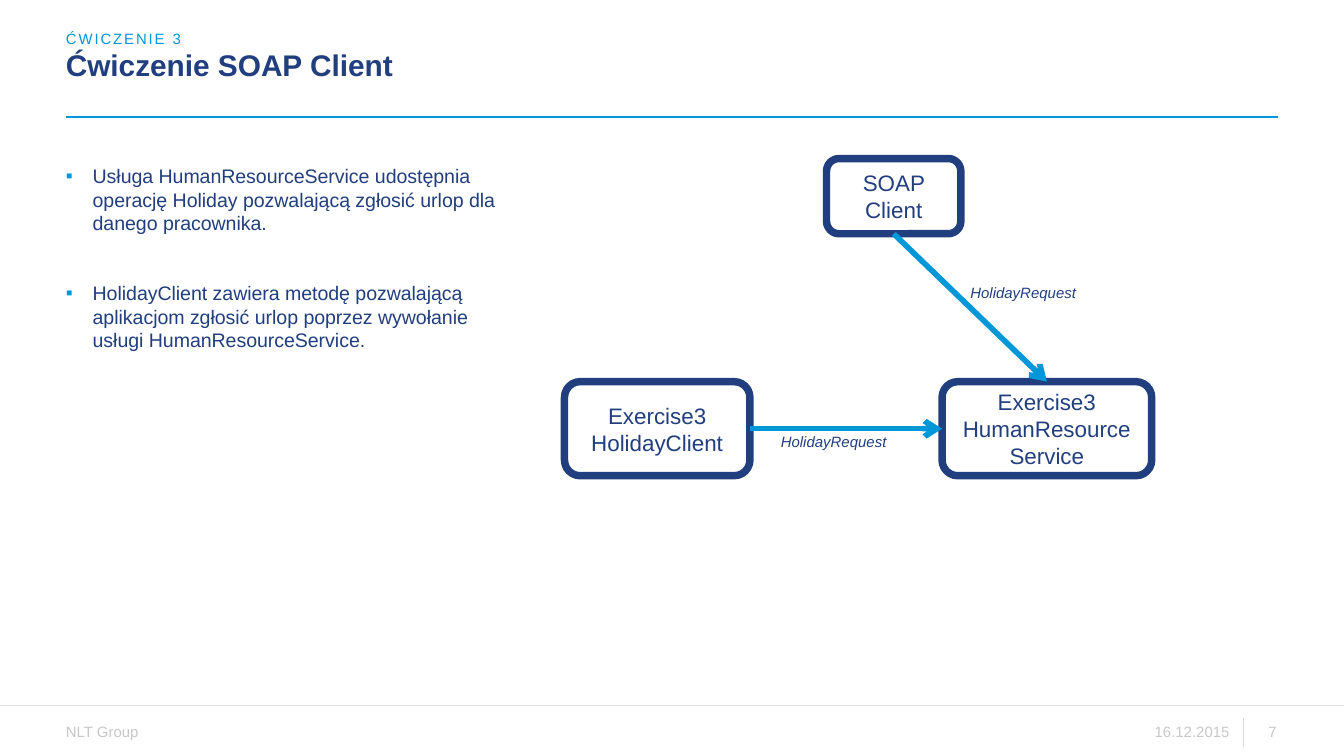
"""Build the SOAP client exercise slide."""
from dataclasses import dataclass
from typing import Any, Optional

import lxml.etree
import pptx
import pptx.dml.color
import pptx.enum.shapes
import pptx.enum.text
import pptx.oxml.ns
import pptx.util

Inches = pptx.util.Inches
Pt = pptx.util.Pt
ALIGN = pptx.enum.text.PP_ALIGN
ANCHOR = pptx.enum.text.MSO_ANCHOR
qn = pptx.oxml.ns.qn


@dataclass(frozen=True)
class Theme:
    """Colours and type sizes."""
    navy: str = "213E7F"
    blue: str = "0097D9"
    rule: str = "DCDCDC"
    muted: str = "C8C8C8"
    white: str = "FFFFFF"
    font: str = "Arial"
    title: float = 16
    node: float = 12
    body: float = 10.5
    small: float = 8


THEME = Theme()


@dataclass(frozen=True)
class Label:
    """A single-line text box."""
    text: str
    left: float
    top: float
    width: float
    height: float
    color: str
    size: float = THEME.small
    bold: bool = False
    italic: bool = False
    align: Any = ALIGN.LEFT
    anchor: Any = ANCHOR.TOP
    wrap: bool = True
    leading: Optional[float] = None
    tracking: Optional[int] = None


@dataclass(frozen=True)
class Node:
    """A rounded box in the diagram."""
    lines: tuple
    left: float
    top: float
    width: float
    height: float


@dataclass(frozen=True)
class Rule:
    """A straight line."""
    start: tuple
    end: tuple
    color: str
    weight: float = 0.75


@dataclass(frozen=True)
class Link:
    """An arrow between two nodes and their connection sites."""
    source: str
    source_site: int
    target: str
    target_site: int


MARGIN, WIDE = 0.49, 7.32
FOOT = dict(top=5.38, height=0.13, color=THEME.muted, anchor=ANCHOR.MIDDLE, wrap=False)
REQUEST = dict(text="HolidayRequest", width=0.84, height=0.13, color=THEME.navy, italic=True)

RULES = (
    Rule((MARGIN, 0.87), (9.51, 0.87), THEME.blue),
    Rule((-0.03, 5.25), (10.03, 5.25), THEME.rule),
    Rule((9.25, 5.56), (9.25, 5.34), THEME.rule),
)
LABELS = (
    Label("NLT Group", MARGIN, width=0.57, **FOOT),
    Label("16.12.2015", 8.58, width=0.57, align=ALIGN.RIGHT, **FOOT),
    Label("7", 9.28, width=0.22, align=ALIGN.RIGHT, **FOOT),
    Label("Ćwiczenie SOAP Client", MARGIN, 0.38, WIDE, 0.24, THEME.navy,
          THEME.title, bold=True, leading=17),
    Label("ĆWICZENIE 3", MARGIN, 0.22, WIDE, 0.13, THEME.blue,
          anchor=ANCHOR.BOTTOM, tracking=100),
    Label(left=5.81, top=3.22, **REQUEST),
    Label(left=7.22, top=2.11, **REQUEST),
)
NODES = {
    "service": Node(("Exercise3", "HumanResourceService"), 7.01, 2.84, 1.56, 0.7),
    "holiday": Node(("Exercise3", "HolidayClient"), 4.2, 2.84, 1.38, 0.7),
    "soap": Node(("SOAP Client",), 6.15, 1.18, 1, 0.56),
}
LINKS = (Link("holiday", 3, "service", 1), Link("soap", 2, "service", 0))
BULLETS = (
    "Usługa HumanResourceService udostępnia operację Holiday pozwalającą "
    "zgłosić urlop dla danego pracownika.",
    "HolidayClient zawiera metodę pozwalającą aplikacjom zgłosić urlop "
    "poprzez wywołanie usługi HumanResourceService.",
)


def rgb(color: str) -> Any:
    """Turn a hex string into a colour."""
    return pptx.dml.color.RGBColor.from_string(color)


def apply(obj: Any, values: dict) -> None:
    """Set each named attribute on an object."""
    for name, value in values.items():
        setattr(obj, name, value)


def set_frame(tf: Any, inset: float, anchor: Any, wrap: bool = True) -> None:
    """Set the insets, anchor and wrapping of a text frame."""
    sides = ("margin_left", "margin_top", "margin_right", "margin_bottom")
    apply(tf, {side: Inches(inset) for side in sides})
    apply(tf, {"vertical_anchor": anchor, "word_wrap": wrap})


def add_run(p: Any, text: str, size: float, color: str, **formats: Any) -> Any:
    """Add a formatted run to a paragraph."""
    r = p.add_run()
    r.text = text
    apply(r.font, {"name": THEME.font, "size": Pt(size), **formats})
    r.font.color.rgb = rgb(color)
    return r


def paragraph(tf: Any, index: int) -> Any:
    """Return the first paragraph or append another one."""
    return tf.add_paragraph() if index else tf.paragraphs[0]


def add_label(s: Any, label: Label) -> None:
    """Draw a single-line text box."""
    sp = s.shapes.add_textbox(*map(Inches, (label.left, label.top, label.width, label.height)))
    set_frame(sp.text_frame, 0, label.anchor, label.wrap)
    sp.text_frame.auto_size = pptx.enum.text.MSO_AUTO_SIZE.SHAPE_TO_FIT_TEXT
    p = sp.text_frame.paragraphs[0]
    p.alignment = label.align
    if label.leading:
        p.line_spacing = Pt(label.leading)
    r = add_run(p, label.text, label.size, label.color, bold=label.bold, italic=label.italic)
    if label.tracking:
        r.font._element.set("spc", str(label.tracking))


def add_node(s: Any, node: Node) -> Any:
    """Draw a rounded box with centred lines."""
    sp = s.shapes.add_shape(pptx.enum.shapes.MSO_SHAPE.ROUNDED_RECTANGLE,
                            *map(Inches, (node.left, node.top, node.width, node.height)))
    sp.shadow.inherit = False
    sp.fill.solid()
    sp.fill.fore_color.rgb = rgb(THEME.white)
    sp.line.color.rgb = rgb(THEME.navy)
    sp.line.width = Pt(4)
    set_frame(sp.text_frame, 0.12, ANCHOR.MIDDLE)
    for i, text in enumerate(node.lines):
        p = paragraph(sp.text_frame, i)
        p.alignment = ALIGN.CENTER
        add_run(p, text, THEME.node, THEME.navy)
    return sp


def add_rule(s: Any, rule: Rule) -> Any:
    """Draw a straight line without a shadow."""
    line = s.shapes.add_connector(pptx.enum.shapes.MSO_CONNECTOR.STRAIGHT,
                                  *map(Inches, rule.start + rule.end))
    line.line.color.rgb = rgb(rule.color)
    line.line.width = Pt(rule.weight)
    lxml.etree.SubElement(line._element.spPr, qn("a:effectLst"))
    return line


def add_link(s: Any, link: Link, boxes: dict) -> None:
    """Draw an arrow joined to two boxes."""
    line = add_rule(s, Rule((0, 0), (1, 1), THEME.blue, 3))
    line.begin_connect(boxes[link.source], link.source_site)
    line.end_connect(boxes[link.target], link.target_site)
    lxml.etree.SubElement(line.line._get_or_add_ln(), qn("a:tailEnd"), type="arrow")


def add_bullets(s: Any, texts: tuple) -> None:
    """Draw the bulleted body text."""
    sp = s.shapes.add_textbox(*map(Inches, (MARGIN, 1.22, 3.27, 3.68)))
    set_frame(sp.text_frame, 0, ANCHOR.TOP)
    for i, text in enumerate(texts):
        p = paragraph(sp.text_frame, i)
        p.space_before = Pt(25 if i else 0)
        pPr = p._p.get_or_add_pPr()
        pPr.set("marL", str(Inches(0.2)))
        pPr.set("indent", str(Inches(-0.2)))
        tint = lxml.etree.SubElement(pPr, qn("a:buClr"))
        lxml.etree.SubElement(tint, qn("a:srgbClr"), val=THEME.blue)
        lxml.etree.SubElement(pPr, qn("a:buFont"), typeface=THEME.font)
        lxml.etree.SubElement(pPr, qn("a:buChar"), char="▪")
        add_run(p, text, THEME.body, THEME.navy)


def main() -> None:
    """Build and save the widescreen slide."""
    prs = pptx.Presentation()
    apply(prs, {"slide_width": Inches(10), "slide_height": Inches(10) * 9 // 16})
    s = prs.slides.add_slide(prs.slide_layouts[6])
    for rule in RULES:
        add_rule(s, rule)
    boxes = {name: add_node(s, node) for name, node in NODES.items()}
    for link in LINKS:
        add_link(s, link, boxes)
    add_bullets(s, BULLETS)
    for label in LABELS:
        add_label(s, label)
    prs.save("out.pptx")


if __name__ == "__main__":
    main()
